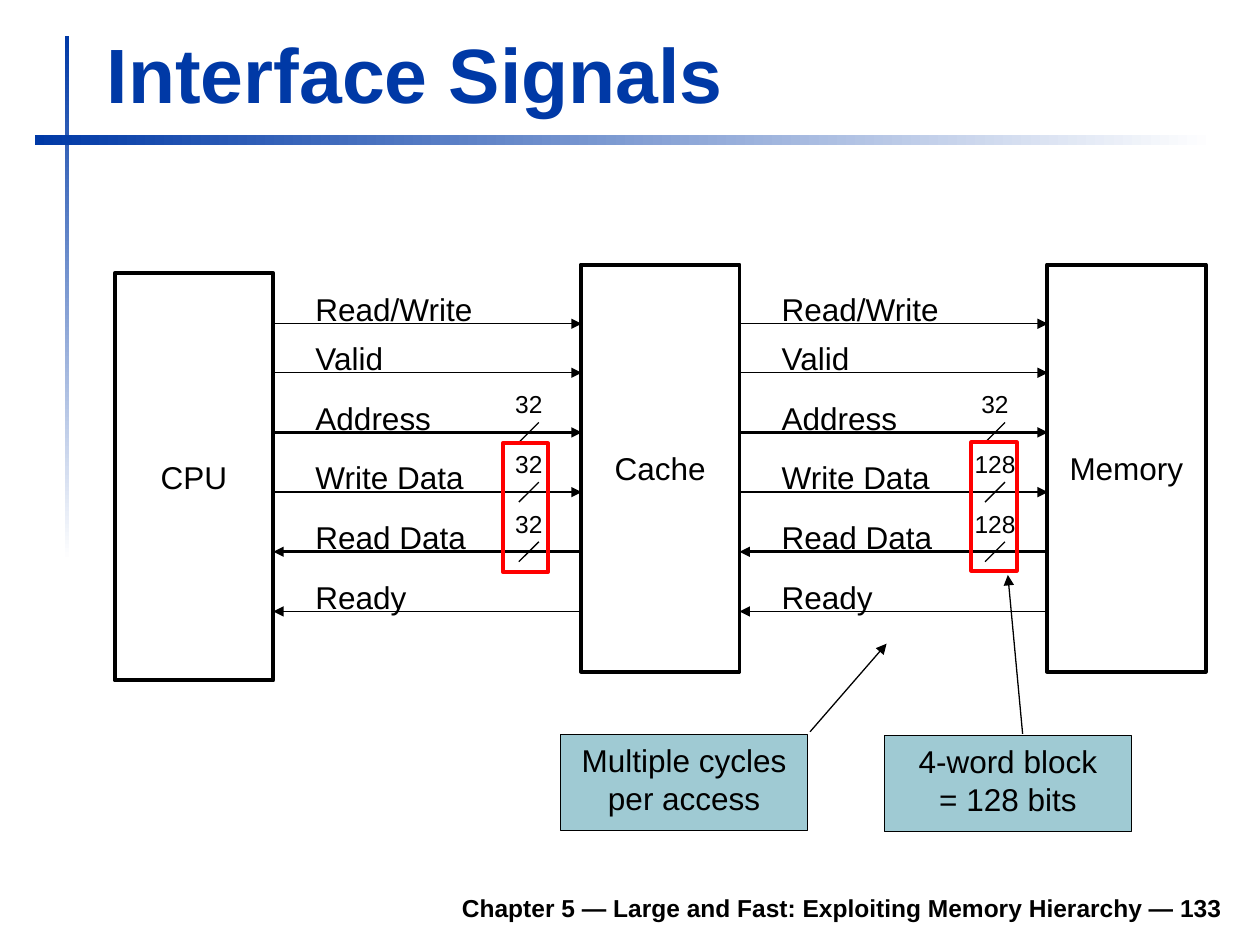
"""Draw the interface signals between a CPU, its cache and the memory."""
import pptx
import pptx.dml.color
import pptx.enum.shapes
import pptx.enum.text
import pptx.oxml
import pptx.oxml.ns
import pptx.util

Pt = pptx.util.Pt
SHAPE = pptx.enum.shapes.MSO_SHAPE
ALIGN = pptx.enum.text.PP_ALIGN
ANCHOR = pptx.enum.text.MSO_ANCHOR
AUTO_SIZE = pptx.enum.text.MSO_AUTO_SIZE

COLOURS = {
    "blue": "0039A6",
    "white": "FFFFFF",
    "black": "000000",
    "red": "FF0000",
    "teal": "9FCAD3",
}
BODY = {"name": "Arial", "size": Pt(18), "bold": False}
SMALL = {**BODY, "size": Pt(14)}
TITLE = {**BODY, "size": Pt(44), "bold": True}
FOOTER = {**SMALL, "bold": True}

UNIT_WIDTH, UNIT_HEIGHT = 90.7, 232.6
UNIT_PITCH = 266.4
UNITS = [("CPU", 156.2), ("Cache", 151.2), ("Memory", 151.2)]
FIRST_UNIT = 65.5
BUS_LENGTH = 176.2
FIRST_ROW, SECOND_ROW, ROW_PITCH = 185, 213, 34.1

# name, label width, line weight, arrowhead end
SIGNALS = [
    ("Read/Write", 104.4, 0.75, "tailEnd"),
    ("Valid", 54.7, 0.75, "tailEnd"),
    ("Address", 80.6, 1.5, "tailEnd"),
    ("Write Data", 99.4, 1.5, "tailEnd"),
    ("Read Data", 100.8, 1.5, "headEnd"),
    ("Ready", 66.2, 0.75, "headEnd"),
]
BUS_BITS = [
    {"Address": "32", "Write Data": "32", "Read Data": "32"},
    {"Address": "32", "Write Data": "128", "Read Data": "128"},
]


def colour(name):
    """Return the named colour."""
    return pptx.dml.color.RGBColor.from_string(COLOURS[name])


def write(shape, lines, style, ink="black", align=ALIGN.CENTER, **frame_format):
    """Fill a shape with formatted paragraphs."""
    frame = shape.text_frame
    for key, value in frame_format.items():
        setattr(frame, key, value)
    for index, line in enumerate(lines):
        para = frame.add_paragraph() if index else frame.paragraphs[0]
        para.alignment = align
        span = para.add_run()
        span.text = line
        for key, value in style.items():
            setattr(span.font, key, value)
        span.font.color.rgb = colour(ink)


def add_text(page, bounds, text, style, **options):
    """Add a text box holding one line."""
    box = page.shapes.add_textbox(*map(Pt, bounds))
    write(box, [text], style, **options)


def add_box(page, bounds, line, weight, fill=None, kind=SHAPE.RECTANGLE):
    """Add an outlined shape, hollow unless a fill is named."""
    box = page.shapes.add_shape(kind, *map(Pt, bounds))
    box.shadow.inherit = False
    if fill:
        box.fill.solid()
        box.fill.fore_color.rgb = colour(fill)
    else:
        box.fill.background()
    box.line.color.rgb = colour(line)
    box.line.width = Pt(weight)
    return box


def add_arrowhead(shape, end):
    """Put a triangle on one end of a line."""
    head = pptx.oxml.parse_xml(
        f'<a:{end} {pptx.oxml.ns.nsdecls("a")} type="triangle"/>')
    shape.line._get_or_add_ln().append(head)


def add_line(page, start, finish, weight, arrow=None):
    """Add a straight black line with an optional arrowhead."""
    line = page.shapes.add_connector(
        pptx.enum.shapes.MSO_CONNECTOR.STRAIGHT, *map(Pt, start + finish))
    line.line.color.rgb = colour("black")
    line.line.width = Pt(weight)
    if arrow:
        add_arrowhead(line, arrow)
    line._element.spPr.append(pptx.oxml.parse_xml(
        f'<a:effectLst {pptx.oxml.ns.nsdecls("a")}/>'))


def add_fading_bar(page, bounds, angle):
    """Add a bar that fades from blue to white."""
    bar = page.shapes.add_shape(SHAPE.RECTANGLE, *map(Pt, bounds))
    bar.shadow.inherit = False
    bar.line.fill.background()
    bar.fill.gradient()
    bar.fill.gradient_angle = angle
    for stop, name, position in zip(bar.fill.gradient_stops, ("blue", "white"), (0, 1)):
        stop.color.rgb = colour(name)
        stop.position = position


def add_unit(page, left, top, name):
    """Add one hardware unit."""
    box = add_box(page, (left, top, UNIT_WIDTH, UNIT_HEIGHT), "black", 2.25)
    write(box, [name], BODY, word_wrap=False, vertical_anchor=ANCHOR.MIDDLE)


def add_bus(page, left, bits):
    """Add the signals that join two neighbouring units."""
    for row, (name, width, weight, arrow) in enumerate(SIGNALS):
        y = SECOND_ROW + (row - 1) * ROW_PITCH if row else FIRST_ROW
        add_line(page, (left, y), (left + BUS_LENGTH, y), weight, arrow)
        add_text(page, (left + 17, y - 22.8, width, 28.8), name, BODY,
                 align=ALIGN.LEFT, word_wrap=False)
        if name in bits:
            middle = left + 146
            add_line(page, (middle - 5.7, y + 5.7), (middle + 5.7, y - 5.7), 0.75)
            count_width = 14.6 + 7.8 * len(bits[name])
            add_text(page, (middle - count_width / 2, y - 28.2, count_width, 24),
                     bits[name], SMALL, word_wrap=False)


def add_callout(page, left, top, lines, pointer):
    """Add a note with an arrow to what it explains."""
    note = add_box(page, (left, top, 141.1, 54.7), "black", 0.75, "teal",
                   SHAPE.LINE_CALLOUT_1)
    for index, value in enumerate(pointer):
        note.adjustments[index] = value
    add_arrowhead(note, "tailEnd")
    write(note, lines, BODY, word_wrap=True, vertical_anchor=ANCHOR.TOP)


def main():
    """Build and save the slide."""
    deck = pptx.Presentation()
    deck.slide_width, deck.slide_height = Pt(720), Pt(540)
    page = deck.slides.add_slide(deck.slide_layouts[6])

    add_fading_bar(page, (37, 20.4, 2.6, 300), 270)
    add_fading_bar(page, (19.8, 77.2, 674.6, 5.6), 0)
    add_text(page, (133.2, 502.6, 572.4, 28),
             "Chapter 5 — Large and Fast: Exploiting Memory Hierarchy — 133",
             FOOTER, align=ALIGN.RIGHT, word_wrap=True,
             vertical_anchor=ANCHOR.BOTTOM)
    add_text(page, (54, 11.5, 650, 59.8), "Interface Signals", TITLE, ink="blue",
             align=ALIGN.LEFT, word_wrap=True, vertical_anchor=ANCHOR.BOTTOM,
             auto_size=AUTO_SIZE.SHAPE_TO_FIT_TEXT)

    for index, (name, top) in enumerate(UNITS):
        add_unit(page, FIRST_UNIT + index * UNIT_PITCH, top, name)
    for index, bits in enumerate(BUS_BITS):
        add_bus(page, FIRST_UNIT + UNIT_WIDTH + index * UNIT_PITCH, bits)

    add_callout(page, 320.4, 419.8, ["Multiple cycles per access"],
                (-0.03, 1.01, -0.95, 1.32))
    for left, top in ((555.1, 252.7), (287.3, 253.4)):
        add_box(page, (left, top, 25.9, 73.4), "red", 2.25)
    add_callout(page, 505.4, 420.5, ["4-word block", "= 128 bits"],
                (-0.02, 0.56, -1.68, 0.5))

    deck.save("out.pptx")


if __name__ == "__main__":
    main()
